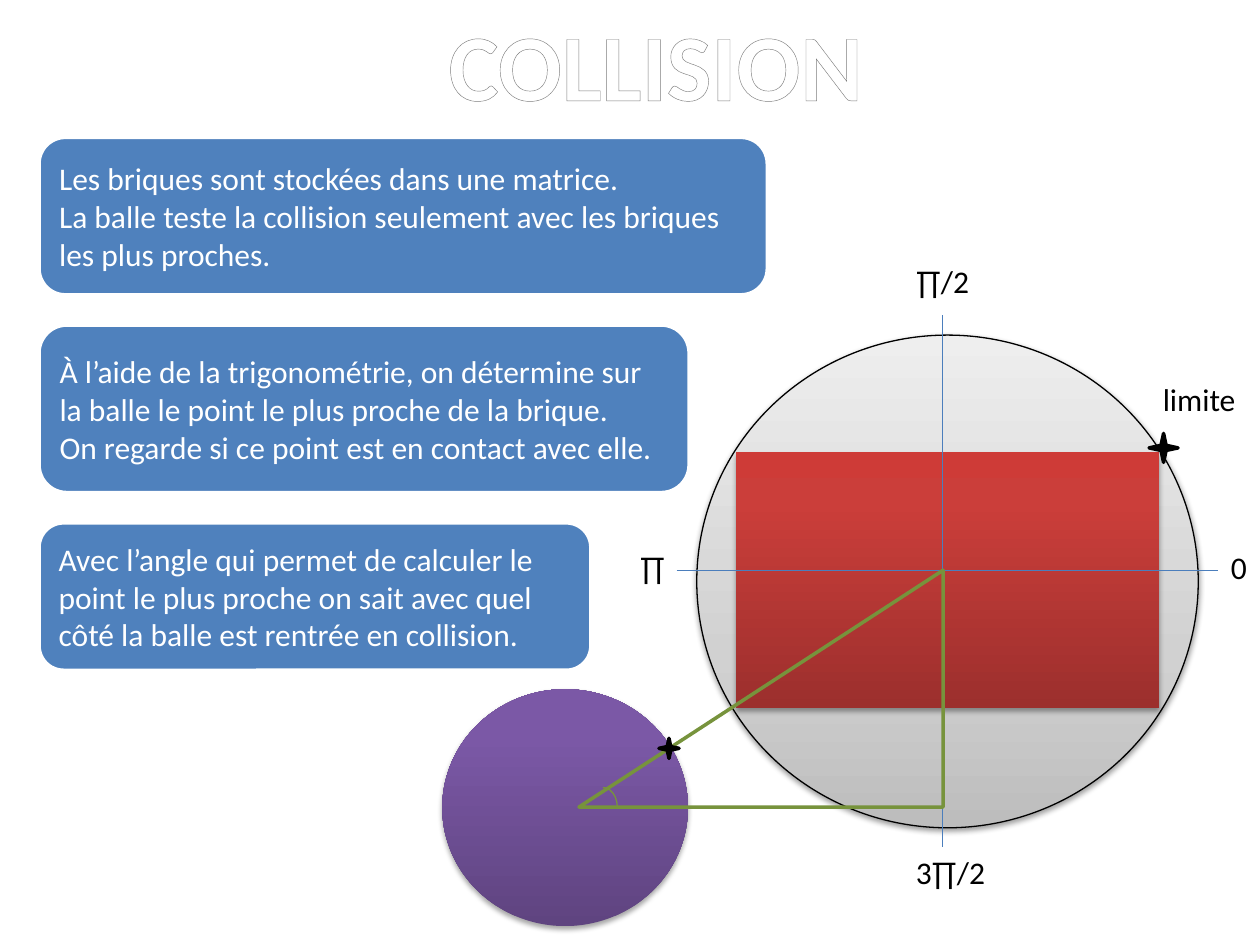
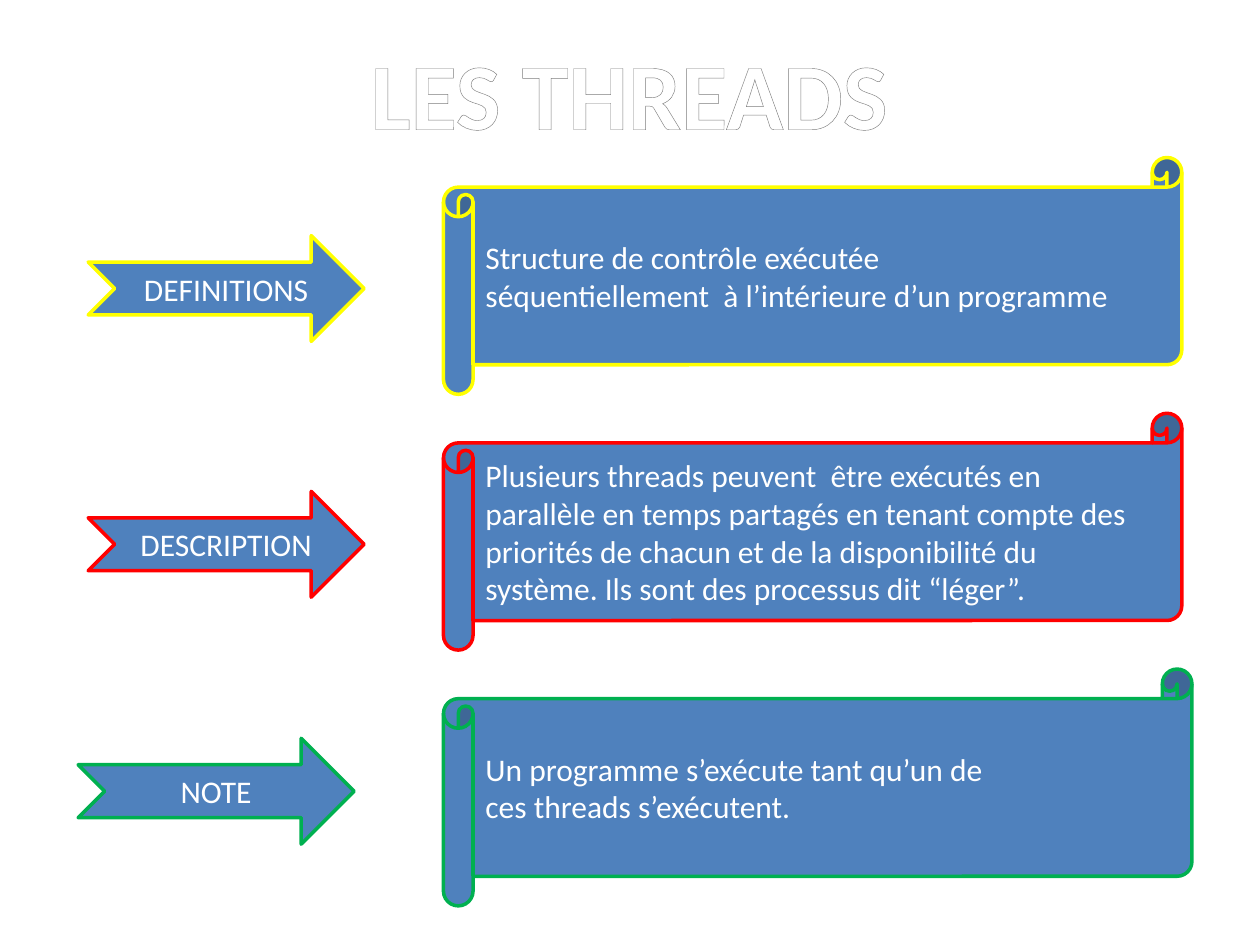
from lxml.etree import SubElement
from pptx import Presentation
from pptx.dml.color import RGBColor
from pptx.enum.shapes import MSO_CONNECTOR as Connector, MSO_SHAPE as Shape
from pptx.enum.text import MSO_ANCHOR as Anchor, MSO_AUTO_SIZE as AutoSize, PP_ALIGN as Align
from pptx.oxml import parse_xml
from pptx.oxml.ns import nsdecls, qn
from pptx.util import Inches, Pt

FONT = "Calibri"
WHITE, BLACK, BLUE = "FFFFFF", "000000", "4F81BD"
AXIS, GREEN = "4B7EBC", "77933C"
TITLE_STOPS = [(0, WHITE), (9, WHITE), (50, "7F7F7F"), (79, WHITE), (100, WHITE)]
GREY_STOPS = [(0, "BDBDBD"), (35, "D1D1D1"), (100, "EEEEEE")]
RED_STOPS = [(0, "9C2F2D"), (80, "CB3E3A"), (100, "CE3B37")]
PURPLE_STOPS = [(0, "5F4480"), (80, "7B58A6"), (100, "7C57A8")]


# ---- Shared helpers ----
def color(value):
    return RGBColor.from_string(value)


def gradient(stops, angle):
    marks = "".join(f'<a:gs pos="{pos * 1000}"><a:srgbClr val="{value}"/></a:gs>'
                    for pos, value in stops)
    return parse_xml(f'<a:gradFill {nsdecls("a")}><a:gsLst>{marks}</a:gsLst>'
                     f'<a:lin ang="{angle * 60000}" scaled="0"/></a:gradFill>')


def add_shadow(shape, opacity, distance):
    shape._element.spPr.append(parse_xml(
        f'<a:effectLst {nsdecls("a")}><a:outerShdw blurRad="{Pt(3.1)}" dist="{Pt(distance)}" '
        f'dir="5400000" rotWithShape="0"><a:srgbClr val="{BLACK}">'
        f'<a:alpha val="{opacity * 1000}"/></a:srgbClr></a:outerShdw></a:effectLst>'))


def add_shape(page, kind, left, top, width, height, fill=None, line=None, weight=2, shadow=None):
    """Fill is a hex string, a list of gradient stops or None."""
    shape = page.shapes.add_shape(kind, *map(Inches, (left, top, width, height)))
    if isinstance(fill, str):
        shape.fill.solid()
        shape.fill.fore_color.rgb = color(fill)
    else:
        shape.fill.background()
    if fill and not isinstance(fill, str):
        properties = shape._element.spPr
        properties.replace(properties.find(qn("a:noFill")), gradient(fill, 270))
    if line:
        shape.line.color.rgb = color(line)
        shape.line.width = Pt(weight)
    else:
        shape.line.fill.background()
    if shadow:
        add_shadow(shape, *shadow)
    else:
        shape.shadow.inherit = False
    return shape


def write(shape, lines, ink, align=Align.LEFT, anchor=Anchor.MIDDLE):
    frame = shape.text_frame
    frame.text = "\n".join(lines)
    frame.vertical_anchor = anchor
    for para in frame.paragraphs:
        para.alignment = align
        para.font.name = FONT
        para.font.size = Pt(18)
        para.font.color.rgb = color(ink)


def add_label(page, text, left, top, width, wrap=False):
    box = page.shapes.add_textbox(*map(Inches, (left, top, width, 0.4)))
    box.text_frame.word_wrap = wrap
    write(box, [text], BLACK, anchor=Anchor.TOP)


def add_axis(page, x1, y1, x2, y2):
    axis = page.shapes.add_connector(Connector.STRAIGHT, *map(Inches, (x1, y1, x2, y2)))
    axis.line.color.rgb = color(AXIS)
    axis.line.width = Pt(0.75)
    SubElement(axis._element.spPr, qn("a:effectLst"))


def add_page(deck, title, left, top, width):
    """Title Only page with an outlined, gradient title."""
    page = deck.slides.add_slide(deck.slide_layouts[5])
    box = page.shapes.title
    box.left, box.top, box.width, box.height = map(Inches, (left, top, width, 1.01))
    frame = box.text_frame
    frame.text = title
    frame.word_wrap = False
    frame.auto_size = AutoSize.SHAPE_TO_FIT_TEXT
    frame.vertical_anchor = Anchor.TOP
    para = frame.paragraphs[0]
    para.alignment = Align.CENTER
    span = para.runs[0]
    span.font.name, span.font.size, span.font.bold = FONT, Pt(54), True
    outline = parse_xml(f'<a:ln {nsdecls("a")} w="{Pt(0.83)}"><a:solidFill>'
                        '<a:srgbClr val="7D7D7D"/></a:solidFill></a:ln>')
    properties = span.font._element
    properties.insert(0, outline)
    properties.insert(1, gradient(TITLE_STOPS, 90))
    return page


# ---- Collision page ----
def add_diagram(page, left, top):
    """Brick in its trigonometric circle, with the ball below left."""
    center_x, center_y = left + 3.97, top + 2.5

    # Circle, brick and axes
    add_shape(page, Shape.OVAL, left + 2.02, top + 0.63, 3.98, 3.91, GREY_STOPS,
              BLACK, 0.75, shadow=(38, 1.6))
    add_shape(page, Shape.RECTANGLE, left + 2.33, top + 1.56, 3.36, 2.03, RED_STOPS,
              shadow=(35, 1.8))
    add_axis(page, left + 1.86, center_y, left + 6.16, center_y)
    add_axis(page, center_x, top + 0.47, center_x, top + 4.69)

    # Angle labels
    for text, x, y, width in [("∏", 1.47, 2.27, 0.4), ("∏/2", 3.66, 0, 0.63),
                              ("3∏/2", 3.66, 4.69, 0.76), ("0", 6.16, 2.27, 0.33)]:
        add_label(page, text, left + x, top + y, width)

    # Ball and the triangle joining both centres
    add_shape(page, Shape.OVAL, left, top + 3.44, 1.95, 1.88, PURPLE_STOPS, shadow=(35, 1.8))
    triangle = add_shape(page, Shape.RIGHT_TRIANGLE, left + 1.59, top + 1.99, 1.88, 2.89,
                         line=GREEN)
    triangle.rotation = 270

    # Contact point, limit point and angle
    for x, y, size in [(1.72, 3.83, 0.16), (5.61, 1.41, 0.23)]:
        add_shape(page, Shape.STAR_4_POINT, left + x, top + y, size, size, BLACK, BLACK)
    add_label(page, "limite", left + 5.62, top + 0.94, 0.78, wrap=True)
    add_shape(page, Shape.ARC, left + 1.16, top + 4.22, 0.23, 0.31, line=GREEN, weight=0.75)


def add_notes_column(page, left, top, notes, gap=0.24):
    for width, height, lines in notes:
        note = add_shape(page, Shape.FLOWCHART_ALTERNATE_PROCESS, left, top, width, height,
                         BLUE, WHITE)
        write(note, lines, WHITE)
        top += height + gap


# ---- Threads page ----
def add_topic(page, left, top, name, lines, line, arrow_at, width):
    """Notched arrow pointing to a scroll; arrow_at is relative to the row."""
    arrow = add_shape(page, Shape.NOTCHED_RIGHT_ARROW, left + arrow_at[0], top + arrow_at[1],
                      2.19, 0.84, BLUE, line)
    write(arrow, [name], WHITE, Align.CENTER)
    scroll = add_shape(page, Shape.HORIZONTAL_SCROLL, left + 2.9, top, width, 1.88, BLUE, line)
    write(scroll, lines, WHITE)


NOTES = [
    (5.78, 1.25, ["Les briques sont stockées dans une matrice.",
                  "La balle teste la collision seulement avec les briques les plus proches."]),
    (5.16, 1.33, ["À l’aide de la trigonométrie, on détermine sur la balle le point le plus "
                  "proche de la brique.",
                  "On regarde si ce point est en contact avec elle."]),
    (4.38, 1.17, ["Avec l’angle qui permet de calculer le point le plus proche on sait avec "
                  "quel côté la balle est rentrée en collision."]),
]
TOPICS = [
    ("DEFINITIONS", ["Structure de contrôle exécutée",
                     "séquentiellement  à l’intérieure d’un programme"],
     "FFFF00", (0.08, 0.62), 5.86),
    ("DESCRIPTION", ["Plusieurs threads peuvent  être exécutés en parallèle en temps partagés "
                     "en tenant compte des priorités de chacun et de la disponibilité du "
                     "système. Ils sont des processus dit “léger”."],
     "FF0000", (0.08, 0.62), 5.86),
    ("NOTE", ["Un programme s’exécute tant qu’un de", "ces threads s’exécutent."],
     "00B050", (0, 0.55), 5.94),
]

deck = Presentation()
deck.slide_width, deck.slide_height = Inches(10), Inches(7.5)

collision = add_page(deck, "COLLISION", 3.44, 0, 3.53)
add_diagram(collision, 3.51, 2.03)
add_notes_column(collision, 0.31, 1.09, NOTES)

threads = add_page(deck, "LES THREADS", 2.81, 0.23, 4.37)
for row, topic in enumerate(TOPICS):
    add_topic(threads, 0.62, 1.25 + 2.03 * row, *topic)

deck.save("out.pptx")
